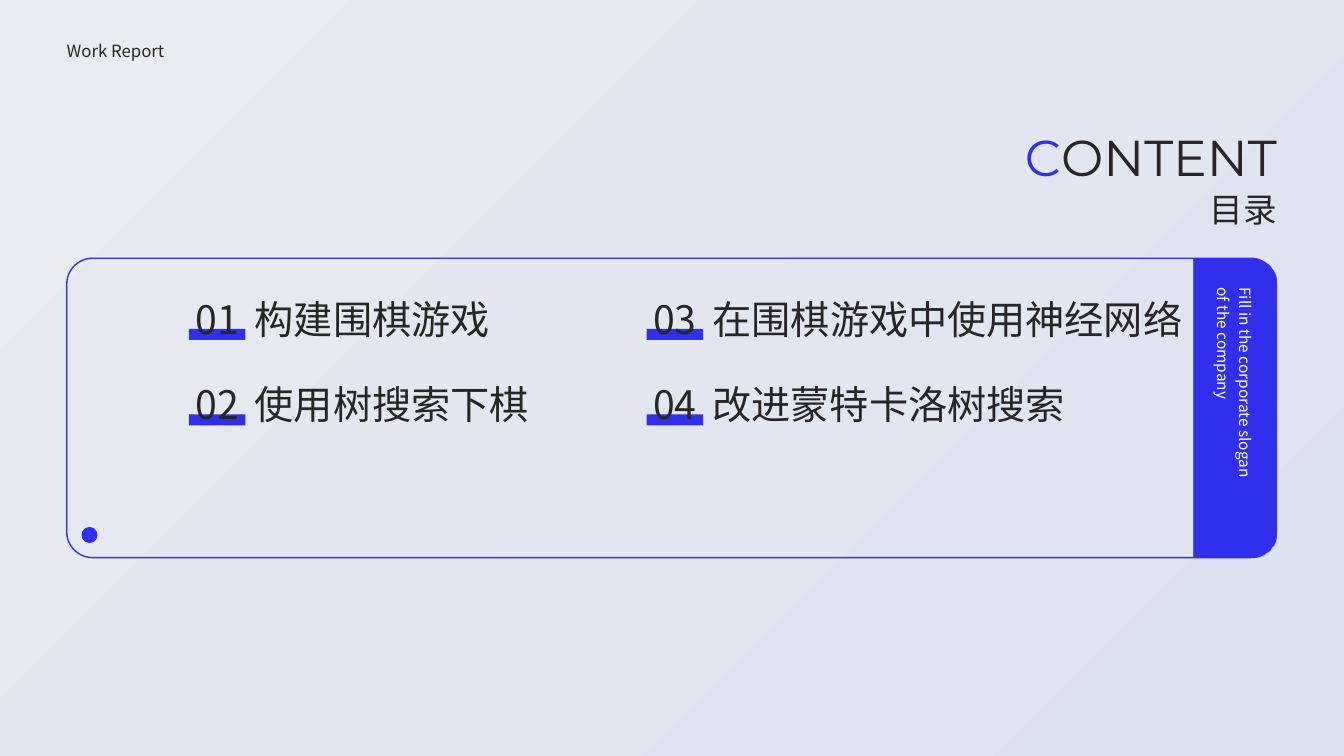
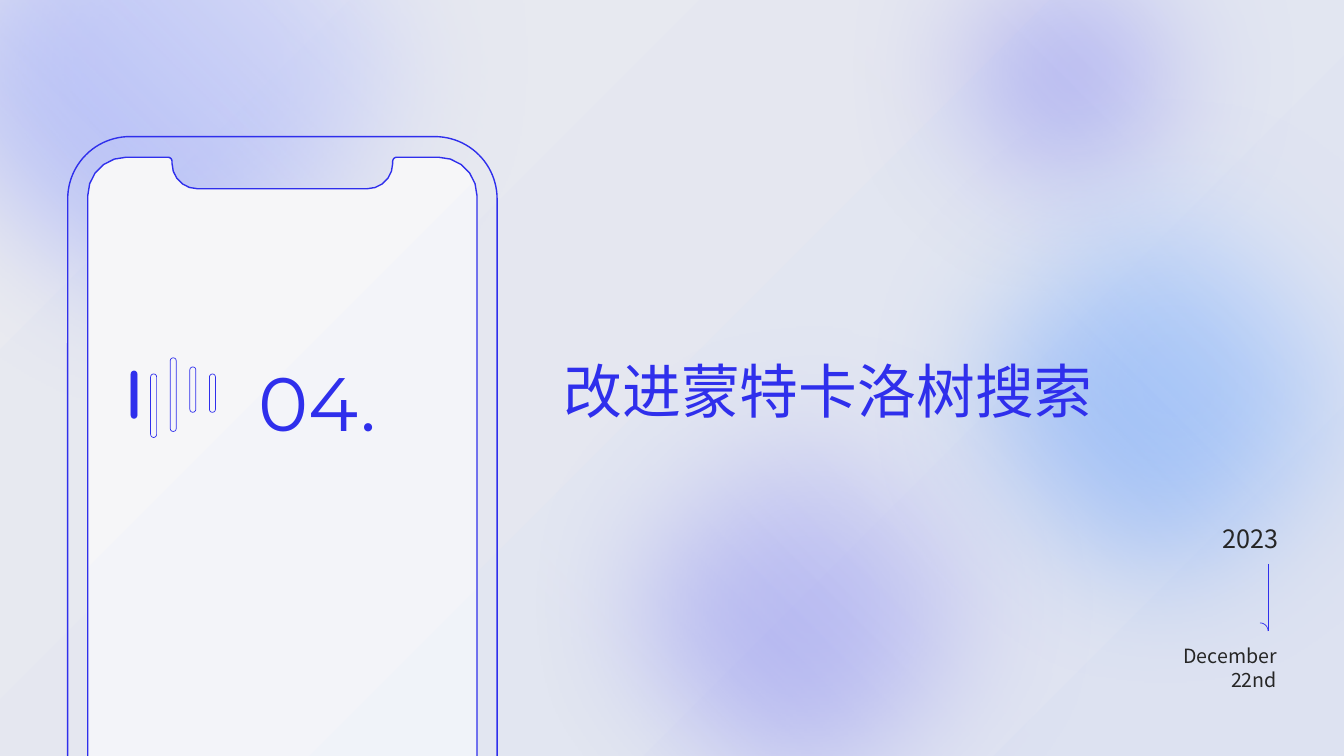
"""Build a contents slide and a chapter slide on one shared backdrop."""
from math import cos, radians, sin

from lxml import etree
from pptx import Presentation
from pptx.dml.color import RGBColor
from pptx.enum.shapes import MSO_CONNECTOR, MSO_SHAPE
from pptx.enum.text import MSO_ANCHOR, MSO_AUTO_SIZE, PP_ALIGN
from pptx.oxml.ns import qn
from pptx.util import Pt

RECT, ROUND, OVAL = MSO_SHAPE.RECTANGLE, MSO_SHAPE.ROUNDED_RECTANGLE, MSO_SHAPE.OVAL
STRAIGHT = MSO_CONNECTOR.STRAIGHT
LEFT, MID, RIGHT = PP_ALIGN.LEFT, PP_ALIGN.CENTER, PP_ALIGN.RIGHT
TOP, GROW = MSO_ANCHOR.TOP, MSO_AUTO_SIZE.SHAPE_TO_FIT_TEXT

BLUE = RGBColor(0x2F, 0x2F, 0xEC)
INK = RGBColor(0x26, 0x26, 0x26)
WHITE = RGBColor(0xFF, 0xFF, 0xFF)
MIST = RGBColor(0xEA, 0xEB, 0xF0)
HAZE = RGBColor(0xDD, 0xE2, 0xF1)
LILAC = RGBColor(0xD5, 0xD5, 0xFB)
SKY = RGBColor(0x63, 0x99, 0xF4)
PALE = RGBColor(0xE0, 0xEB, 0xFD)
IRIS = RGBColor(0x83, 0x93, 0xF7)
ICE = RGBColor(0xE6, 0xE9, 0xFD)
SNOW = RGBColor(0xF6, 0xF6, 0xF8)
FROST = RGBColor(0xF0, 0xF3, 0xF9)
SANS, HEAD = "Noto Sans CJK SC", "Montserrat"
WIDE, HIGH = 960, 540

TOPICS = ["构建围棋游戏", "使用树搜索下棋", "在围棋游戏中使用神经网络", "改进蒙特卡洛树搜索"]
SLOGAN = "Fill in the corporate slogan\nof the company"
COLS, ROW, STEP = (135, 462), 211, 61

BLOBS = [
    (339.1, 188.6, 485.3, (BLUE, LILAC), (55, 25)),
    (564.5, -155.5, 410.4, (BLUE, LILAC), (55, 43)),
    (583.2, 29.5, 499.7, (SKY, PALE), (76, 100)),
    (-159.1, -242.6, 571.7, (IRIS, ICE), (100, 37)),
]
BARS = [(265, 33.8), (267.1, 45.4), (255.6, 52.6), (262.1, 32.4), (267.1, 27.4)]
AXIS = 201.7
CURVES = [
    (60.8, 116.8, 18, 90, 0),
    (81.8, 115.3, 3, 180, 270),
    (111.6, 139.7, 27.4, 270, 360),
    (111.6, 686.1, 27.4, 0, 90),
]


def blend(fill, hues, angle, spots=(0, 100)):
    """Give a fill two colour stops; the angle turns counter-clockwise."""
    fill.gradient()
    fill.gradient_angle = angle
    for stop, hue, spot in zip(fill.gradient_stops, hues, spots):
        stop.color.rgb = hue
        stop.position = spot / 100


def fade(shape, alphas):
    """Set the opacity of a shape's colour stops, in percent."""
    for node, alpha in zip(shape.element.spPr.iter(qn("a:srgbClr")), alphas):
        etree.SubElement(node, qn("a:alpha"), val=str(alpha * 1000))


def paint(shape, fill=None, line=0):
    """Remove the shadow and set a plain fill and a blue outline."""
    shape.shadow.inherit = False
    if fill is None:
        shape.fill.background()
    else:
        shape.fill.solid()
        shape.fill.fore_color.rgb = fill
    if line:
        shape.line.color.rgb = BLUE
        shape.line.width = Pt(line)
    else:
        shape.line.fill.background()
    return shape


def block(slide, kind, box, fill=None, line=0, bend=None):
    """Add a preset shape."""
    shape = slide.shapes.add_shape(kind, *map(Pt, box))
    if bend is not None:
        shape.adjustments[0] = bend
    return paint(shape, fill, line)


def style(run, size, color, font):
    """Format one run for Latin and Chinese letters."""
    run.font.size = Pt(size)
    run.font.color.rgb = color
    run.font.name = font
    etree.SubElement(run.font._element, qn("a:ea"), typeface=font)


def label(slide, text, box, size, color=INK, font=SANS, align=LEFT,
          title=False, wrap=False, space=None):
    """Place text in a new box or, for a title, in the placeholder."""
    if title:
        shape = slide.shapes.title
        shape.element.getparent().append(shape.element)
        shape.left, shape.top, shape.width, shape.height = map(Pt, box)
    else:
        shape = slide.shapes.add_textbox(*map(Pt, box))
    frame = shape.text_frame
    frame.margin_left = frame.margin_right = frame.margin_top = frame.margin_bottom = 0
    frame.vertical_anchor = TOP
    frame.word_wrap = wrap
    frame.auto_size = GROW
    frame.text = text
    for para in frame.paragraphs:
        para.alignment = align
        para.line_spacing = space
        for run in para.runs:
            style(run, size, color, font)
    return shape


def arc(x, y, size, start, end, steps=5):
    """List points along a circular arc, clockwise degrees from the right."""
    turns = [radians(start + (end - start) * i / steps) for i in range(steps + 1)]
    return [(x + size * cos(t), y + size * sin(t)) for t in turns]


def outline(slide, points, close):
    """Add a freeform through the points."""
    first, *rest = [(Pt(x), Pt(y)) for x, y in points]
    pen = slide.shapes.build_freeform(*first)
    pen.add_line_segments(rest, close=close)
    return pen.convert_to_shape()


def contents(slide):
    """Fill the contents slide."""
    panel = block(slide, ROUND, (47.7, 184.5, 864, 213.8), line=1, bend=0.086)
    blend(panel.fill, (WHITE, BLUE), 0, (93, 93))
    fade(panel, (0, 100))
    label(slide, "Work Report", (47.7, 28.8, 74.2, 14.4), 12)
    title = label(slide, "C", (720.5, 90, 191.5, 43.9), 36, BLUE, HEAD, RIGHT, title=True)
    rest = title.text_frame.paragraphs[0].add_run()
    rest.text = "ONTENT"
    style(rest, 36, INK, HEAD)
    label(slide, "目录", (864, 135, 48.2, 28.8), 24, align=RIGHT)
    block(slide, OVAL, (58.2, 376.4, 11.5, 11.5), BLUE)
    slogan = label(slide, SLOGAN, (802.8, 270.8, 162, 31), 11, WHITE, space=1.2)
    slogan.rotation = 90
    for i, topic in enumerate(TOPICS):
        left, top = COLS[i // 2], ROW + i % 2 * STEP
        block(slide, RECT, (left, top + 23.9, 40.3, 7.9), BLUE)
        label(slide, f"{i + 1:02}", (left, top, 40.3, 33.8), 28, align=MID)
        label(slide, topic, (left + 47, top, 28 * len(topic), 33.8), 28)


def chapter(slide):
    """Fill the chapter slide."""
    for left, top, size, hues, alphas in BLOBS:
        blob = block(slide, OVAL, (left, top, size, size))
        blend(blob.fill, hues, 45)
        fade(blob, alphas)
        glow = blob.element.spPr.find(qn("a:effectLst"))
        etree.SubElement(glow, qn("a:softEdge"), rad=str(Pt(100)))

    block(slide, ROUND, (48.4, 97.6, 306.7, 630.7), line=1, bend=0.145)
    half = [point for curve in CURVES for point in arc(*curve)]
    edge = [(AXIS + x, y) for x, y in half] + [(AXIS - x, y) for x, y in reversed(half)]
    screen = paint(outline(slide, edge, True), line=1)
    blend(screen.fill, (SNOW, FROST), 315)
    label(slide, "04.", (184.8, 254.4, 90.7, 65.5), 54, BLUE, HEAD)
    for i, (top, height) in enumerate(BARS):
        block(slide, ROUND, (93.6 + 14 * i, top, 4.3, height),
              None if i else BLUE, 0.5, 0.5)

    label(slide, TOPICS[3], (402.5, 253.4, 400, 51.1), 42, BLUE, title=True)
    label(slide, "2023", (873, 373.7, 40.3, 21.6), 18, align=RIGHT)
    label(slide, "December 22nd", (833, 460, 79.2, 34), 14, align=RIGHT, wrap=True)
    stem = slide.shapes.add_connector(STRAIGHT, *map(Pt, (905.8, 402.7, 905.8, 450.7)))
    stem.line.color.rgb = BLUE
    stem.line.width = Pt(0.5)
    etree.SubElement(stem.element.spPr, qn("a:effectLst"))
    paint(outline(slide, arc(900, 450.7, 5.8, 270, 360), False), line=0.5)


def main():
    """Build and save the deck."""
    deck = Presentation()
    deck.slide_width, deck.slide_height = Pt(WIDE), Pt(HIGH)
    for draw in (contents, chapter):
        slide = deck.slides.add_slide(deck.slide_layouts[5])
        backdrop = block(slide, RECT, (0, 0, WIDE, HIGH))
        blend(backdrop.fill, (MIST, HAZE), 315)
        draw(slide)
    deck.save("out.pptx")


if __name__ == "__main__":
    main()
